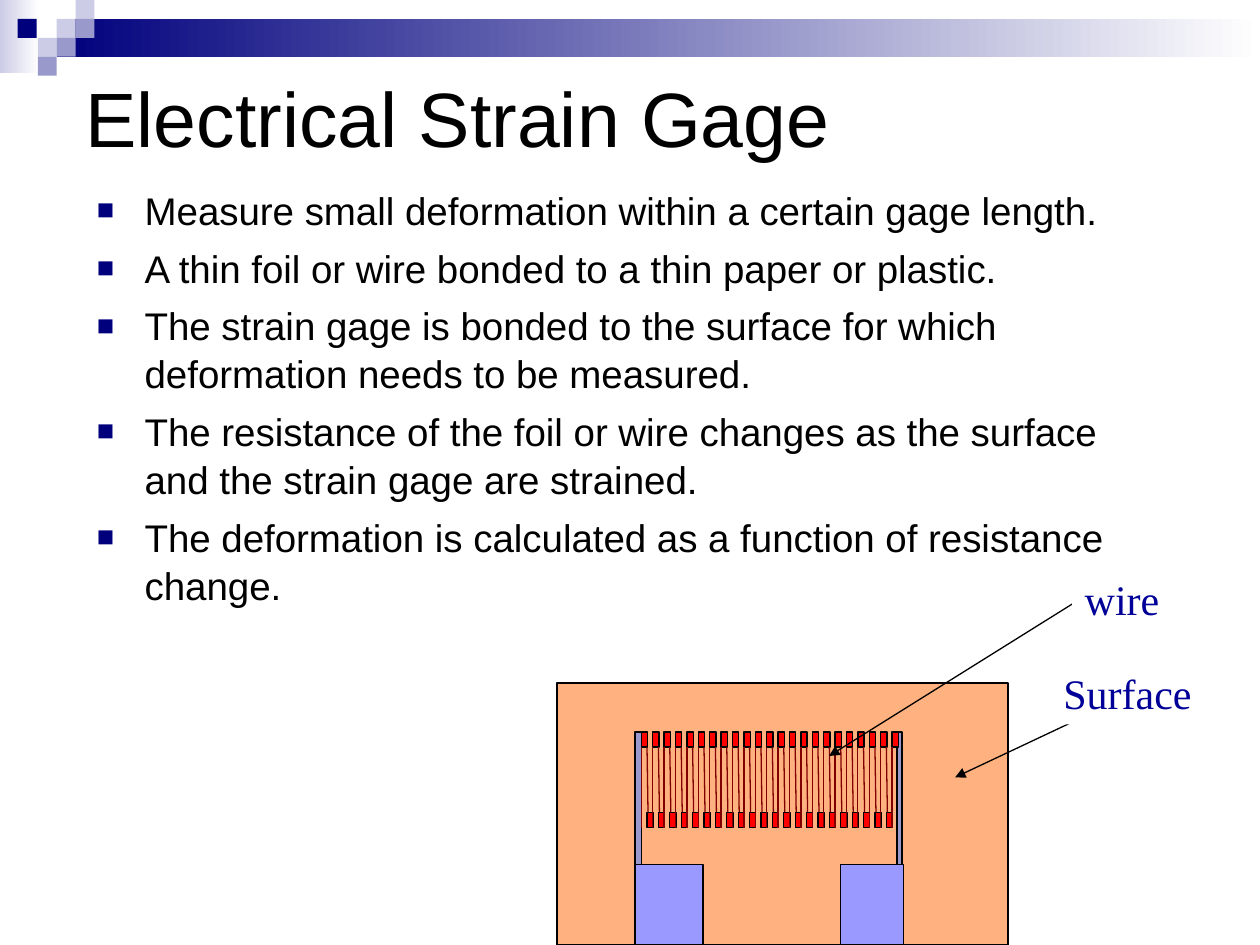
from dataclasses import dataclass

from lxml import etree
from pptx import Presentation
from pptx.dml.color import RGBColor
from pptx.enum.shapes import MSO_CONNECTOR, MSO_SHAPE
from pptx.enum.text import MSO_ANCHOR, MSO_AUTO_SIZE, PP_ALIGN
from pptx.oxml.ns import qn
from pptx.util import Inches, Pt

RECT = MSO_SHAPE.RECTANGLE
STRAIGHT = MSO_CONNECTOR.STRAIGHT
LEFT, CENTER = PP_ALIGN.LEFT, PP_ALIGN.CENTER
TOP, MIDDLE = MSO_ANCHOR.TOP, MSO_ANCHOR.MIDDLE
GROW, FIXED = MSO_AUTO_SIZE.SHAPE_TO_FIT_TEXT, MSO_AUTO_SIZE.NONE

BLACK = RGBColor(0x00, 0x00, 0x00)
WHITE = RGBColor(0xFF, 0xFF, 0xFF)
NAVY = RGBColor(0x00, 0x00, 0x7D)
PALE = RGBColor(0xCC, 0xCC, 0xE6)
LILAC = RGBColor(0x99, 0x99, 0xCC)
ORANGE = RGBColor(0xFF, 0x66, 0x00)
BLUE = RGBColor(0x99, 0x99, 0xFF)
RED = RGBColor(0xFF, 0x00, 0x00)
MAROON = RGBColor(0x80, 0x00, 0x00)
INK = RGBColor(0x00, 0x00, 0x99)

TITLE = "Electrical Strain Gage"
POINTS = [
    "Measure small deformation within a certain gage length.",
    "A thin foil or wire bonded to a thin paper or plastic.",
    "The strain gage is bonded to the surface for which deformation needs to be measured.",
    "The resistance of the foil or wire changes as the surface and the strain gage are strained.",
    "The deformation is calculated as a function of resistance change.",
]


@dataclass
class Box:
    x: float
    y: float
    w: float
    h: float
    color: RGBColor

    def place(self) -> list:
        return [Inches(v) for v in (self.x, self.y, self.w, self.h)]


@dataclass
class Label:
    text: str
    box: Box
    start: tuple[float, float]
    tip: tuple[float, float]


TILES = [
    Box(0.45, 0.15, 0.15, 0.15, PALE),
    Box(0.6, 0, 0.15, 0.15, PALE),
    Box(0.6, 0.15, 0.15, 0.15, LILAC),
    Box(0.3, 0.3, 0.15, 0.15, PALE),
    Box(0.14, 0.15, 0.15, 0.15, NAVY),
    Box(0.45, 0.3, 0.15, 0.15, LILAC),
    Box(0.3, 0.45, 0.15, 0.15, LILAC),
]
PADS = [
    Box(5.04, 6.86, 0.54, 0.64, BLUE),
    Box(6.67, 6.86, 0.5, 0.64, BLUE),
    Box(5.04, 5.81, 0.05, 1.05, LILAC),
    Box(7.12, 5.81, 0.04, 1.05, LILAC),
]
LABELS = [
    Label("Surface ", Box(8.34, 5.25, 1.3, 0.5, WHITE), (9, 5.5), (7.58, 6.17)),
    Label("wire", Box(8.51, 4.5, 0.79, 0.5, WHITE), (8.58, 4.75), (6.58, 6)),
]

# Wire grid: loops at equal steps between two ends
FIRST, LAST, LOOPS = 5.09, 7.08, 23
STEP = (LAST - FIRST) / (LOOPS - 1)
HEAD, FOOT = 5.81, 6.45
CAP_W, CAP_H = 0.05, 0.12
TILT = 0.01


def add_tag(parent, name: str, **attrs: str):
    return etree.SubElement(parent, qn(name), attrs)


def draw_box(slide, box: Box, edge: bool = False, fade: bool = False):
    """Rectangle with a plain fill, or one that fades to white on the right."""
    shape = slide.shapes.add_shape(RECT, *box.place())
    shape.shadow.inherit = False
    if fade:
        shape.fill.gradient()
        shape.fill.gradient_angle = 0
        for stop, color in zip(shape.fill.gradient_stops, (box.color, WHITE)):
            stop.color.rgb = color
    else:
        shape.fill.solid()
        shape.fill.fore_color.rgb = box.color
    if edge:
        shape.line.color.rgb = BLACK
        shape.line.width = Pt(0.75)
    else:
        shape.line.fill.background()
    return shape


def draw_line(slide, start: tuple, end: tuple, color: RGBColor, arrow: bool = False) -> None:
    ends = [Inches(v) for v in (*start, *end)]
    line = slide.shapes.add_connector(STRAIGHT, *ends)
    line.line.color.rgb = color
    line.line.width = Pt(0.75)
    if arrow:
        add_tag(line.line._ln, "a:tailEnd", type="triangle")
    add_tag(line._element.spPr, "a:effectLst")


def add_bullet(para) -> None:
    props = para._p.get_or_add_pPr()
    props.set("marL", str(Inches(0.38)))
    props.set("indent", str(-Inches(0.38)))
    add_tag(add_tag(props, "a:buClr"), "a:srgbClr", val=str(NAVY))
    add_tag(props, "a:buSzPct", val="75000")
    add_tag(props, "a:buFont", typeface="Arial")
    add_tag(props, "a:buChar", char="■")


def put_text(shape, lines: list[str], size: float, font: str = "Arial",
             color: RGBColor = BLACK, align=LEFT, anchor=TOP, wrap: bool = True,
             fit=FIXED, bullet: bool = False, gap: float = 0,
             lead: float = 1.0) -> None:
    frame = shape.text_frame
    frame.word_wrap = wrap
    frame.auto_size = fit
    frame.vertical_anchor = anchor
    for i, text in enumerate(lines):
        para = frame.paragraphs[0] if i == 0 else frame.add_paragraph()
        if bullet:
            add_bullet(para)
        para.alignment = align
        para.line_spacing = lead
        if i:
            para.space_before = Pt(gap)
        run = para.add_run()
        run.text = text
        run.font.size = Pt(size)
        run.font.name = font
        run.font.color.rgb = color


def draw_wire(slide) -> None:
    for i in range(LOOPS):
        x = FIRST + i * STEP
        mid = x + STEP / 2
        top, end = HEAD + CAP_H, FOOT + CAP_H
        draw_box(slide, Box(x, HEAD, CAP_W, CAP_H, RED), edge=True)
        draw_line(slide, (x, top), (x, end), MAROON)
        if i < LOOPS - 1:
            draw_line(slide, (mid, top), (mid + TILT, end), MAROON)
            draw_box(slide, Box(mid, FOOT, CAP_W, CAP_H, RED), edge=True)


def main() -> None:
    deck = Presentation()
    deck.slide_width, deck.slide_height = Inches(10), Inches(7.5)
    slide = deck.slides.add_slide(deck.slide_layouts[6])

    # Top band
    draw_box(slide, Box(0, 0, 0.31, 0.58, PALE), fade=True)
    draw_box(slide, Box(0.45, 0.15, 9.55, 0.3, NAVY), fade=True)
    for tile in TILES:
        draw_box(slide, tile)

    # Surface, half transparent
    plate = draw_box(slide, Box(4.42, 5.42, 3.58, 2.08, ORANGE), edge=True)
    tint = plate._element.spPr.find(qn("a:solidFill"))[0]
    add_tag(tint, "a:alpha", val="50000")

    # Title and points
    title = slide.shapes.add_textbox(Inches(0.58), Inches(0.25), Inches(8.5), Inches(1.36))
    put_text(title, [TITLE], 44, anchor=MIDDLE)
    body = slide.shapes.add_textbox(Inches(0.67), Inches(1.42), Inches(8.5), Inches(4.5))
    put_text(body, POINTS, 22, bullet=True, gap=5.5, lead=1.04)

    # Strain gage
    for pad in PADS:
        draw_box(slide, pad, edge=True)
    draw_wire(slide)

    # Labels with arrows
    for label in LABELS:
        draw_line(slide, label.start, label.tip, BLACK, arrow=True)
        put_text(draw_box(slide, label.box), [label.text], 24, font="Times New Roman",
                 color=INK, align=CENTER, wrap=False, fit=GROW)

    deck.save("out.pptx")


if __name__ == "__main__":
    main()
